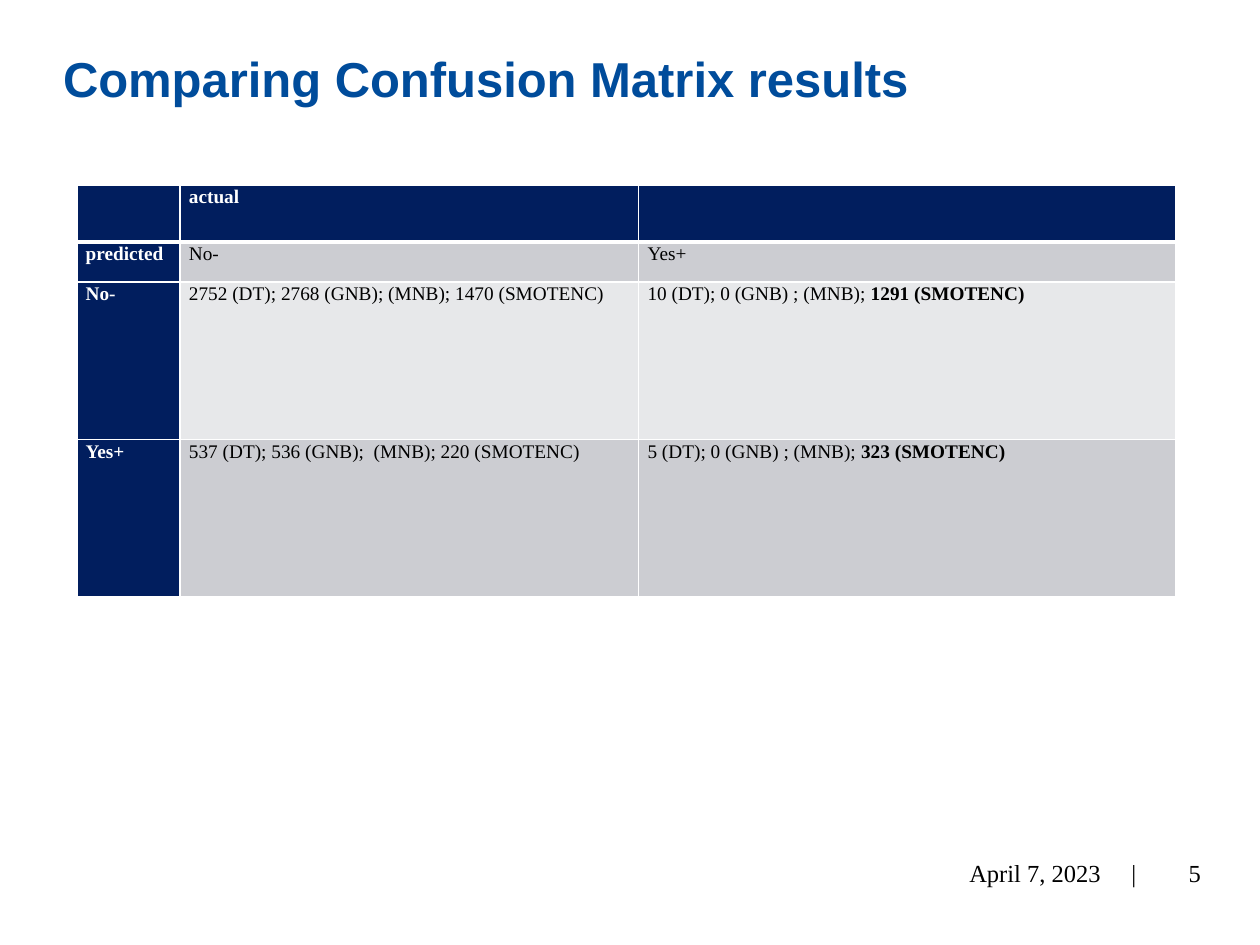
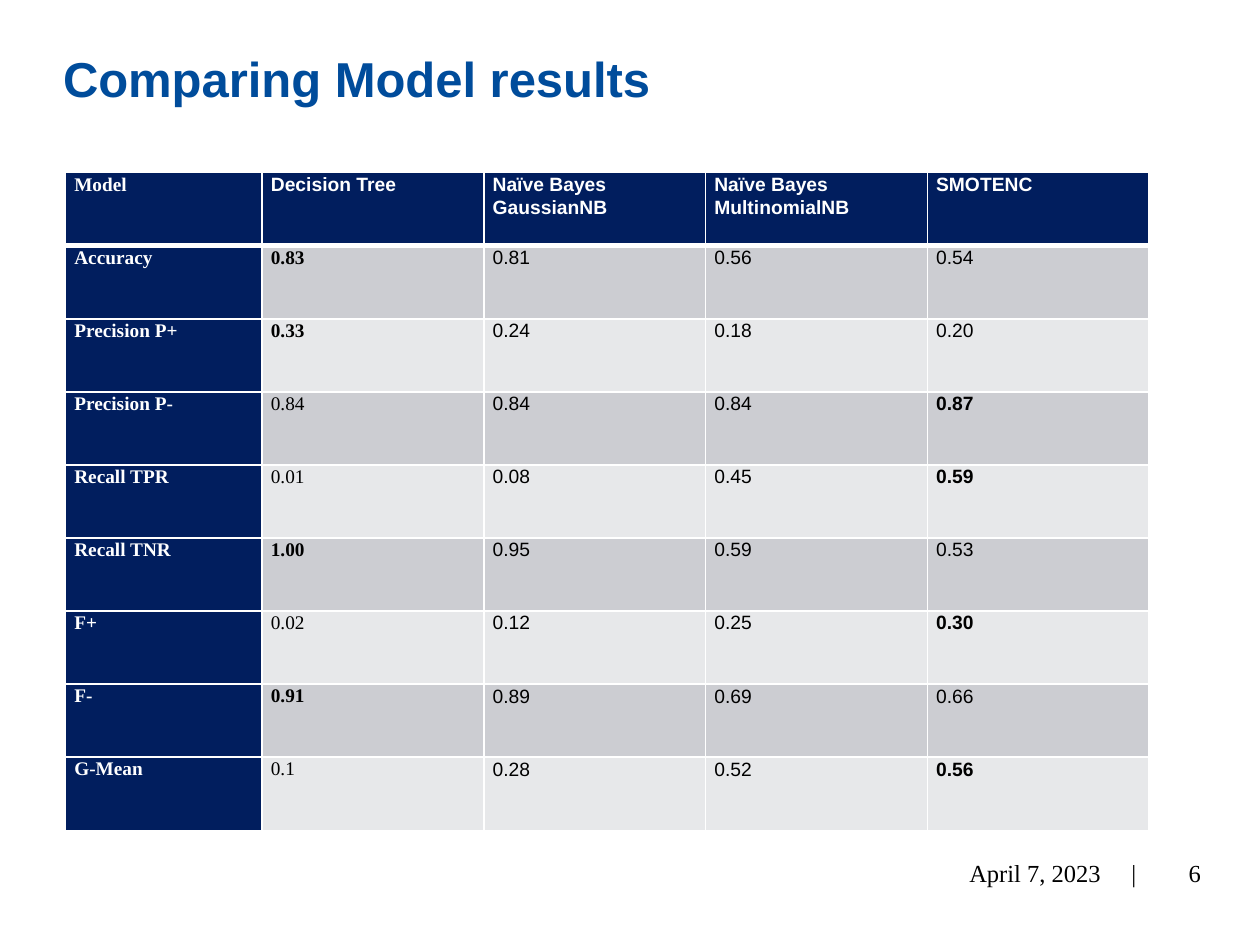
from dataclasses import dataclass
from typing import NamedTuple

from lxml import etree
from pptx import Presentation
from pptx.dml.color import RGBColor
from pptx.enum import text
from pptx.oxml import ns
from pptx.util import Pt

EMU_PER_PX = 9144


@dataclass(frozen=True)
class Theme:
    title: str = "004C9B"
    navy: str = "011E5E"
    bands: tuple[str, str] = ("CCCDD2", "E7E8EA")
    white: str = "FFFFFF"
    black: str = "000000"
    sans: str = "Arial"
    serif: str = "Times New Roman"
    title_size: int = 28
    footer_size: int = 14
    cell_size: int = 11
    rule: int = 1
    header_rule: int = 3


class Box(NamedTuple):
    left: int
    top: int
    width: int
    height: int


class Cell(NamedTuple):
    plain: str = ""
    strong: str = ""
    font: str = "Times New Roman"


@dataclass(frozen=True)
class Grid:
    left: int
    top: int
    columns: list[int]
    rows: list[int]
    cells: list[list[Cell]]


THEME = Theme()
SLIDE = Box(0, 0, 1000, 750)
TITLE = Box(40, 43, 924, 117)
DATE = Box(686, 673, 227, 40)
PAGE = Box(889, 673, 74, 40)
DATE_TABS = (178, 206)

MODELS = ["Decision Tree", "Naïve Bayes GaussianNB", "Naïve Bayes MultinomialNB", "SMOTENC"]
SCORES = {
    "Accuracy": ["0.83", "0.81", "0.56", "0.54"],
    "Precision P+": ["0.33", "0.24", "0.18", "0.20"],
    "Precision P-": ["0.84", "0.84", "0.84", "0.87"],
    "Recall TPR": ["0.01", "0.08", "0.45", "0.59"],
    "Recall TNR": ["1.00", "0.95", "0.59", "0.53"],
    "F+": ["0.02", "0.12", "0.25", "0.30"],
    "F-": ["0.91", "0.89", "0.69", "0.66"],
    "G-Mean": ["0.1", "0.28", "0.52", "0.56"],
}

CONFUSION = Grid(
    61, 147, [82, 364, 426], [45, 32, 125, 125],
    [
        [Cell(), Cell(strong="actual"), Cell()],
        [Cell(strong="predicted"), Cell("No-"), Cell("Yes+")],
        [
            Cell(strong="No-"),
            Cell("2752 (DT); 2768 (GNB); (MNB); 1470 (SMOTENC)"),
            Cell("10 (DT); 0 (GNB) ; (MNB); ", "1291 (SMOTENC)"),
        ],
        [
            Cell(strong="Yes+"),
            Cell("537 (DT); 536 (GNB);  (MNB); 220 (SMOTENC)"),
            Cell("5 (DT); 0 (GNB) ; (MNB); ", "323 (SMOTENC)"),
        ],
    ],
)


def px(length: int) -> int:
    return length * EMU_PER_PX


def score_row(metric: str, scores: list[str]) -> list[Cell]:
    best = max(scores, key=float)
    row = [Cell(strong=metric)]
    for column, score in enumerate(scores):
        font = THEME.sans if column else THEME.serif
        row.append(Cell(strong=score, font=font) if score == best else Cell(score, font=font))
    return row


def model_grid() -> Grid:
    header = [Cell(strong="Model")] + [Cell(strong=model, font=THEME.sans) for model in MODELS]
    cells = [header] + [score_row(metric, scores) for metric, scores in SCORES.items()]
    return Grid(52, 137, [156] + [176] * len(MODELS), [58] * len(cells), cells)


def style(font, name: str, size: int, color: str, bold: bool = False) -> None:
    font.name = name
    font.size = Pt(size)
    font.bold = bold
    font.color.rgb = RGBColor.from_string(color)


def add_title(slide, wording: str) -> None:
    title = slide.shapes.title
    title.left, title.top, title.width, title.height = map(px, TITLE)
    frame = title.text_frame
    frame.text = wording
    frame.auto_size = text.MSO_AUTO_SIZE.NONE
    frame.vertical_anchor = text.MSO_ANCHOR.TOP
    heading = frame.paragraphs[0]
    heading.alignment = text.PP_ALIGN.LEFT
    heading.line_spacing = Pt(26.6)
    style(heading.font, THEME.sans, THEME.title_size, THEME.title, True)


def add_footer(slide, box: Box, wording: str, tabs: tuple[int, ...] = ()) -> None:
    frame = slide.shapes.add_textbox(*map(px, box)).text_frame
    frame.word_wrap = True
    frame.vertical_anchor = text.MSO_ANCHOR.MIDDLE
    line = frame.paragraphs[0]
    line.text = wording
    line.alignment = text.PP_ALIGN.LEFT if tabs else text.PP_ALIGN.RIGHT
    if tabs:
        stops = etree.SubElement(line._p.get_or_add_pPr(), ns.qn("a:tabLst"))
        for stop in tabs:
            etree.SubElement(stops, ns.qn("a:tab"), pos=str(px(stop)), algn="r")
    style(line.font, THEME.serif, THEME.footer_size, THEME.black)


def add_borders(cell, top: int, bottom: int) -> None:
    properties = cell._tc.get_or_add_tcPr()
    widths = {"lnL": THEME.rule, "lnR": THEME.rule, "lnT": top, "lnB": bottom}
    for side, width in widths.items():
        line = etree.SubElement(properties, ns.qn(f"a:{side}"), w=str(Pt(width)))
        fill = etree.SubElement(line, ns.qn("a:solidFill"))
        etree.SubElement(fill, ns.qn("a:srgbClr"), val=THEME.white)


def fill_cell(target, content: Cell, fill: str, color: str) -> None:
    target.margin_left = target.margin_right = px(7)
    target.margin_top = target.margin_bottom = 0
    target.fill.solid()
    target.fill.fore_color.rgb = RGBColor.from_string(fill)
    line = target.text_frame.paragraphs[0]
    line.line_spacing = 1.07
    line.space_after = Pt(10)
    style(line.font, content.font, THEME.cell_size, color, not content.plain)
    if content.plain:
        line.add_run().text = content.plain
    if content.strong:
        strong = line.add_run()
        strong.text = content.strong
        if content.plain:
            strong.font.bold = True


def add_grid(slide, grid: Grid) -> None:
    frame = slide.shapes.add_table(
        len(grid.rows), len(grid.columns), px(grid.left), px(grid.top),
        px(sum(grid.columns)), px(sum(grid.rows)),
    )
    table = frame.table
    table.first_row = table.horz_banding = False
    for column, width in zip(table.columns, grid.columns):
        column.width = px(width)
    for r, (row, height) in enumerate(zip(grid.cells, grid.rows)):
        table.rows[r].height = px(height)
        for c, content in enumerate(row):
            label = r == 0 or c == 0
            target = table.cell(r, c)
            add_borders(
                target,
                THEME.header_rule if r == 1 else THEME.rule,
                THEME.header_rule if r == 0 else THEME.rule,
            )
            fill_cell(
                target, content,
                THEME.navy if label else THEME.bands[(r - 1) % 2],
                THEME.white if label else THEME.black,
            )


def main() -> None:
    deck = Presentation()
    deck.slide_width, deck.slide_height = px(SLIDE.width), px(SLIDE.height)
    pages = {
        "Comparing Confusion Matrix results": CONFUSION,
        "Comparing Model results": model_grid(),
    }
    for number, (heading, grid) in enumerate(pages.items(), start=5):
        slide = deck.slides.add_slide(deck.slide_layouts[5])
        add_title(slide, heading)
        add_grid(slide, grid)
        add_footer(slide, DATE, "\tApril 7, 2023\t|", DATE_TABS)
        add_footer(slide, PAGE, str(number))
    deck.save("out.pptx")


if __name__ == "__main__":
    main()
